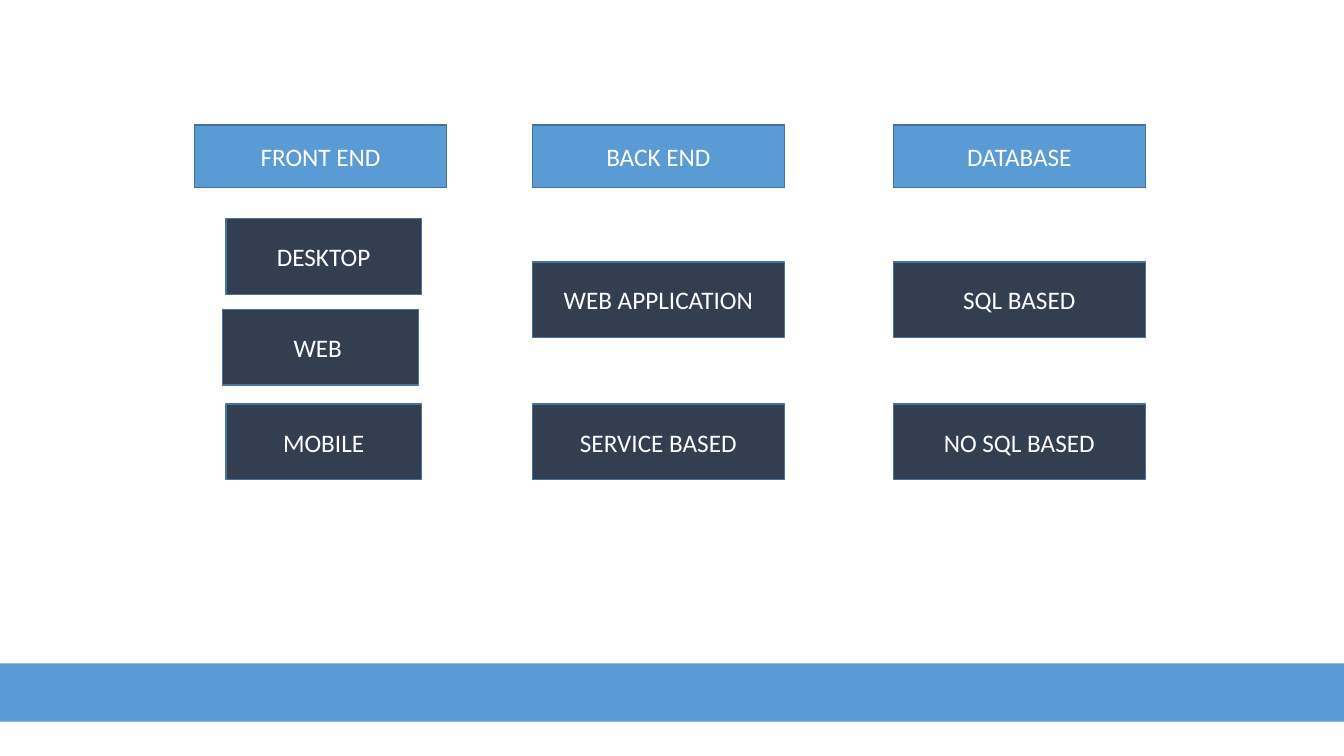
import pptx
import pptx.util
import pptx.dml.color
import pptx.enum.shapes
import pptx.enum.text

Inches = pptx.util.Inches
COLORS = {"blue": "5B9BD5", "navy": "333F50", "outline": "43739E", "text": "FFFFFF"}
COLUMN_WIDTH, HEADER_HEIGHT, ITEM_HEIGHT = 2.5, 0.62, 0.75
FRONT_ITEM_WIDTH = 1.94
COLUMNS_TOP = 1.24
TIER_ROWS = (1.36, 2.77)

# Each item is (label, left offset, top offset, width) within its column.
COLUMNS = [
    (1.93, "FRONT END", [
        ("DESKTOP", 0.31, 0.93, FRONT_ITEM_WIDTH),
        ("WEB ", 0.28, 1.83, FRONT_ITEM_WIDTH),
        ("MOBILE", 0.31, TIER_ROWS[1], FRONT_ITEM_WIDTH),
    ]),
    (5.28, "BACK END", [
        (label, 0, top, COLUMN_WIDTH)
        for label, top in zip(("WEB APPLICATION", "SERVICE BASED"), TIER_ROWS)
    ]),
    (8.86, "DATABASE", [
        (label, 0, top, COLUMN_WIDTH)
        for label, top in zip(("SQL BASED", "NO SQL BASED"), TIER_ROWS)
    ]),
]


def rgb(name):
    """Return the named colour."""
    return pptx.dml.color.RGBColor.from_string(COLORS[name])


def add_bar(page, left, top, width, height, fill):
    """Add a plain filled rectangle without a line."""
    box = page.shapes.add_shape(
        pptx.enum.shapes.MSO_SHAPE.RECTANGLE,
        Inches(left), Inches(top), Inches(width), Inches(height))
    box.shadow.inherit = False
    box.fill.solid()
    box.fill.fore_color.rgb = rgb(fill)
    box.line.fill.background()
    return box


def add_label(page, left, top, width, height, fill, label):
    """Add an outlined rectangle with a centred label."""
    box = add_bar(page, left, top, width, height, fill)
    box.line.color.rgb = rgb("outline")
    box.line.width = pptx.util.Pt(1)
    frame = box.text_frame
    frame.word_wrap = True
    frame.vertical_anchor = pptx.enum.text.MSO_ANCHOR.MIDDLE
    para = frame.paragraphs[0]
    para.alignment = pptx.enum.text.PP_ALIGN.CENTER
    span = para.add_run()
    span.text = label
    span.font.name = "Calibri"
    span.font.size = pptx.util.Pt(18)
    span.font.color.rgb = rgb("text")


def add_column(page, left, top, heading, items):
    """Add a tier heading and the items beneath it."""
    add_label(page, left, top, COLUMN_WIDTH, HEADER_HEIGHT, "blue", heading)
    for label, across, down, width in items:
        add_label(page, left + across, top + down, width, ITEM_HEIGHT, "navy", label)


def build_deck():
    """Build the slide of application tiers."""
    deck = pptx.Presentation()
    deck.slide_width, deck.slide_height = Inches(13.33), Inches(7.5)
    page = deck.slides.add_slide(deck.slide_layouts[6])
    add_bar(page, -0.02, 6.58, 13.37, 0.58, "blue")
    for left, heading, items in COLUMNS:
        add_column(page, left, COLUMNS_TOP, heading, items)
    deck.save("out.pptx")


build_deck()
